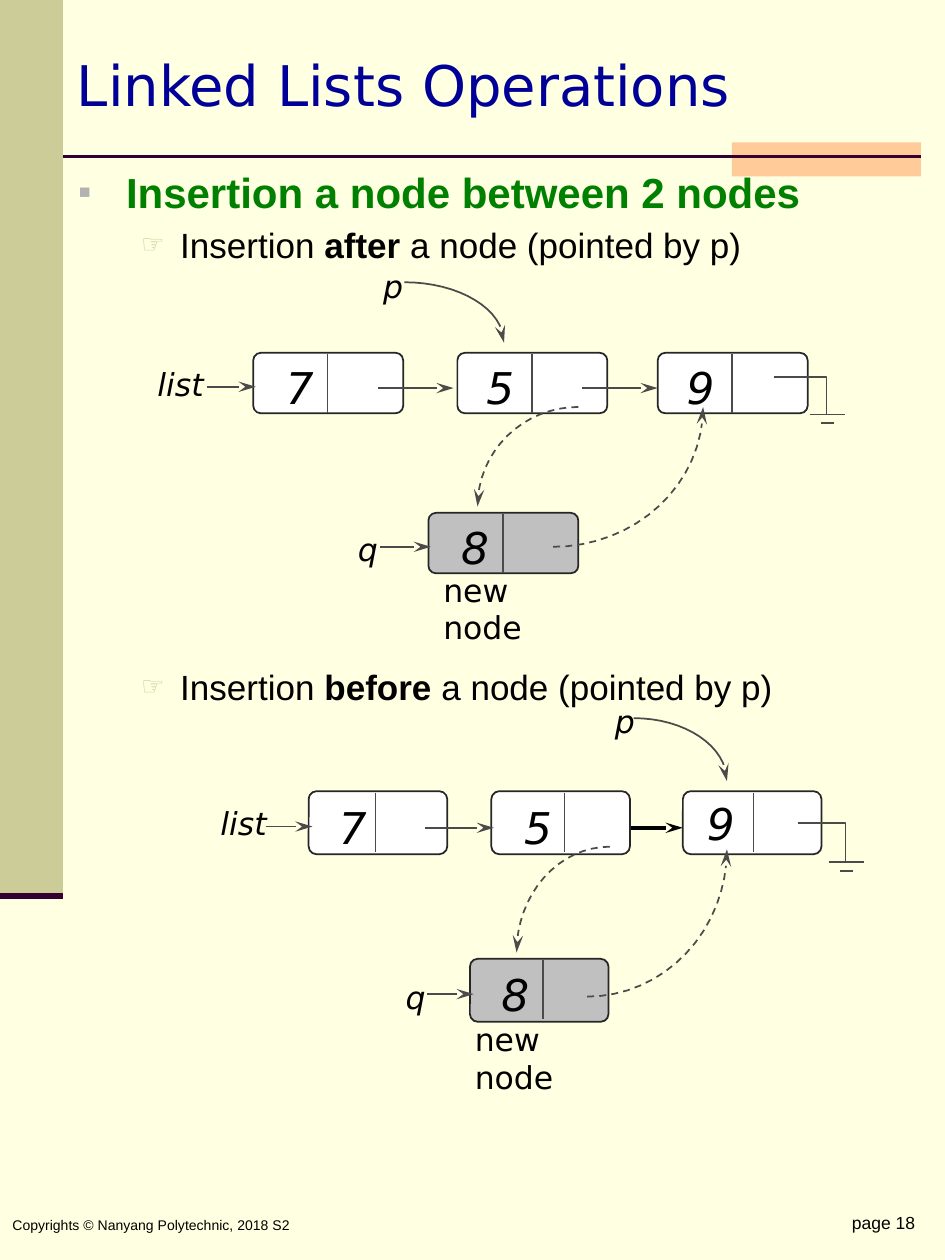
from dataclasses import dataclass
from math import cos, pi, sin

from lxml.etree import SubElement
from pptx import Presentation
from pptx.dml.color import RGBColor
from pptx.enum.dml import MSO_LINE_DASH_STYLE as Dash
from pptx.enum.shapes import MSO_CONNECTOR as Connector, MSO_SHAPE as Shape
from pptx.enum.text import MSO_ANCHOR as Anchor, MSO_AUTO_SIZE as AutoSize, PP_ALIGN as Align
from pptx.oxml.ns import qn
from pptx.util import Inches, Pt


@dataclass(frozen=True)
class Theme:
    """Colours, fonts and type sizes of the slide."""
    paper: str = "FFFFE1"
    band: str = "CCCC99"
    accent: str = "FFCC99"
    rule: str = "330033"
    title: str = "000099"
    heading: str = "008000"
    marker: str = "B2B2B2"
    ink: str = "000000"
    wire: str = "4B4B4B"
    edge: str = "262626"
    node: str = "FFFFFF"
    new_node: str = "C0C0C0"
    sans: str = "Arial"
    display: str = "DejaVu Sans"
    title_size: int = 32
    heading_size: int = 24
    item_size: int = 20
    digit_size: int = 25
    label_size: int = 18
    page_size: int = 10
    footer_size: int = 8


@dataclass(frozen=True)
class Diagram:
    """Places of the parts of one insertion diagram, in inches."""
    node_size: tuple
    nodes: tuple
    new_node: tuple
    links: tuple
    labels: tuple
    solid_arc: tuple
    dashed_arcs: tuple
    ground: tuple
    caption: tuple
    bold_link: tuple = ()


THEME = Theme()

AFTER = Diagram(
    node_size=(1.19, 0.48),
    nodes=(("7", 2.01, 2.8, 2.6, 2.27, 2.93), ("5", 3.63, 2.8, 4.22, 3.86, 2.93),
           ("9", 5.22, 2.8, 5.81, 5.45, 2.93)),
    new_node=("8", 3.4, 4.07, 3.99, 3.66, 4.2),
    links=((1.64, 2.03, 3.07), (3, 3.6, 3.08), (4.62, 5.22, 3.08), (3.02, 3.42, 4.34)),
    labels=(("list", 1.25, 2.91), ("q", 2.84, 4.22), ("p", 3.04, 2.13)),
    solid_arc=(3.21, 2.24, 4, 2.72),
    dashed_arcs=((4.39, 4.34, 5.58, 3.23), (4.59, 3.23, 3.79, 4.02)),
    ground=(6.14, 2.99, 6.56, 3.29),
    caption=(3.42, 4.48),
)

BEFORE = Diagram(
    node_size=(1.1, 0.5),
    nodes=(("7", 2.45, 6.28, 2.98, 2.69, 6.42), ("5", 3.9, 6.28, 4.48, 4.16, 6.42),
           ("9", 5.42, 6.28, 5.98, 5.61, 6.39)),
    new_node=("8", 3.73, 7.61, 4.31, 3.98, 7.75),
    links=((2.11, 2.48, 6.56), (3.37, 3.92, 6.57), (3.39, 3.76, 7.89)),
    labels=(("list", 1.75, 6.39), ("q", 3.22, 7.77), ("p", 4.88, 5.58)),
    solid_arc=(5.03, 5.7, 5.77, 6.2),
    dashed_arcs=((4.66, 7.91, 5.77, 6.74), (4.84, 6.72, 4.1, 7.56)),
    ground=(6.33, 6.53, 6.71, 6.84),
    caption=(3.67, 8.05),
    bold_link=(4.87, 5.42, 6.57),
)


def rgb(code):
    """Turn a hex code into a colour."""
    return RGBColor.from_string(code)


def style_font(font, size, color, name=THEME.sans, bold=False, italic=False):
    """Set every property of a font."""
    font.size, font.name, font.bold, font.italic = Pt(size), name, bold, italic
    font.color.rgb = rgb(color)


def style_line(line, color, width, arrow=False, dashed=False):
    """Set the stroke of an outline, with an optional end arrow."""
    line.color.rgb = rgb(color)
    line.width = Pt(width)
    if dashed:
        line.dash_style = Dash.DASH
    if arrow:
        SubElement(line._get_or_add_ln(), qn("a:tailEnd"), type="stealth", len="lg")


def add_line(slide, x1, y1, x2, y2, color=THEME.wire, width=1, arrow=False):
    """Draw a straight line."""
    line = slide.shapes.add_connector(Connector.STRAIGHT, *map(Inches, (x1, y1, x2, y2)))
    style_line(line.line, color, width, arrow)
    SubElement(line._element.spPr, qn("a:effectLst"))


def add_box(slide, kind, place, fill, edge=None):
    """Draw a filled preset shape."""
    box = slide.shapes.add_shape(kind, *map(Inches, place))
    box.shadow.inherit = False
    box.fill.solid()
    box.fill.fore_color.rgb = rgb(fill)
    if edge:
        style_line(box.line, edge, 1)
    else:
        box.line.fill.background()
    return box


def add_text(slide, text, place, size, name=THEME.sans, italic=False, inset=True,
             anchor=Anchor.TOP, align=Align.LEFT):
    """Write one paragraph in a text box."""
    frame = slide.shapes.add_textbox(*map(Inches, place)).text_frame
    frame.word_wrap = True
    frame.vertical_anchor = anchor
    if not inset:
        frame.margin_left = frame.margin_right = frame.margin_top = frame.margin_bottom = 0
    frame.text = text
    frame.paragraphs[0].alignment = align
    style_font(frame.paragraphs[0].runs[0].font, size, THEME.ink, name, italic=italic)


def add_path(slide, points, arrow=False, dashed=False):
    """Draw an open path through the points."""
    start, *rest = [tuple(map(Inches, point)) for point in points]
    builder = slide.shapes.build_freeform(*start)
    builder.add_line_segments(rest, close=False)
    path = builder.convert_to_shape()
    path.shadow.inherit = False
    path.fill.background()
    style_line(path.line, THEME.wire, 1, arrow, dashed)


def add_arc(slide, x1, y1, x2, y2, dashed=False, steps=16):
    """Draw a quarter ellipse that leaves level and arrives upright."""
    angles = [pi / 2 * step / steps for step in range(steps + 1)]
    points = [(x1 + (x2 - x1) * sin(a), y2 + (y1 - y2) * cos(a)) for a in angles]
    add_path(slide, points, arrow=True, dashed=dashed)


def add_node(slide, size, node, fill):
    """Draw a list node with its divider and digit."""
    digit, left, top, divider, digit_left, digit_top = node
    box = add_box(slide, Shape.ROUNDED_RECTANGLE, (left, top, *size), fill, THEME.edge)
    box.adjustments[0] = 0.125
    add_line(slide, divider, top + 0.01, divider, top + 0.48)
    add_text(slide, digit, (digit_left, digit_top, 0.2, 0.28), THEME.digit_size,
             THEME.display, italic=True, inset=False, anchor=Anchor.MIDDLE)


def add_ground(slide, x1, y1, x2, y2):
    """Draw the null mark that ends a list."""
    add_path(slide, [(x1, y1), (x2, y1), (x2, y2)])
    for half, y in ((0.14, y2), (0.05, y2 + 0.07)):
        add_line(slide, x2 + 0.01 - half, y, x2 + 0.01 + half, y)


def add_diagram(slide, diagram):
    """Draw a list with the node being inserted."""
    if diagram.bold_link:
        x1, x2, y = diagram.bold_link
        add_line(slide, x1, y, x2, y, THEME.ink, 2, arrow=True)
    for node in diagram.nodes:
        add_node(slide, diagram.node_size, node, THEME.node)
    add_node(slide, diagram.node_size, diagram.new_node, THEME.new_node)
    for x1, x2, y in diagram.links:
        add_line(slide, x1, y, x2, y, arrow=True)
    add_arc(slide, *diagram.solid_arc)
    for arc in diagram.dashed_arcs:
        add_arc(slide, *arc, dashed=True)
    for text, left, top in diagram.labels:
        width = 0.44 if text == "list" else 0.2
        add_text(slide, text, (left, top, width, 0.28), THEME.label_size, THEME.display,
                 italic=True, inset=False, anchor=Anchor.MIDDLE)
    add_ground(slide, *diagram.ground)
    add_text(slide, "new node", (*diagram.caption, 1.23, 0.34), THEME.label_size, THEME.display)


def place_frame(holder, place):
    """Move a placeholder and return its plain top-aligned text frame."""
    holder.left, holder.top, holder.width, holder.height = map(Inches, place)
    frame = holder.text_frame
    frame.auto_size = AutoSize.NONE
    frame.vertical_anchor = Anchor.TOP
    return frame


def add_item(paragraph, runs, level, bullet, space):
    """Fill a bulleted paragraph with (text, bold) runs."""
    mark, mark_color, mark_size, indent, hang = bullet
    paragraph.level = level
    props = paragraph._p.get_or_add_pPr()
    props.set("marL", str(Inches(indent)))
    props.set("indent", str(-Inches(hang)))
    paragraph.space_before = Pt(space)
    SubElement(SubElement(props, qn("a:buClr")), qn("a:srgbClr"), val=mark_color)
    SubElement(props, qn("a:buSzPct"), val=str(mark_size * 1000))
    SubElement(props, qn("a:buChar"), char=mark)
    size, color = ((THEME.item_size, THEME.ink) if level
                   else (THEME.heading_size, THEME.heading))
    for text, bold in runs:
        run = paragraph.add_run()
        run.text = text
        style_font(run.font, size, color, bold=bold)


def add_outline(slide):
    """Fill the title and the body list."""
    title = place_frame(slide.shapes.title, (0.51, 0.35, 6.61, 0.86))
    title.text = "Linked Lists Operations"
    title.paragraphs[0].alignment = Align.LEFT
    style_font(title.paragraphs[0].runs[0].font, THEME.title_size, THEME.title, THEME.display)

    body = place_frame(slide.placeholders[1], (0.52, 1.27, 6.6, 8.06))
    square = ("▪", THEME.marker, 90, 0.38, 0.38)
    hand = ("☞", THEME.band, 75, 0.81, 0.31)
    add_item(body.paragraphs[0], [("Insertion a node between 2 nodes", True)], 0, square, 0)
    for word, space in (("after", 3.8), ("before", 228.5)):
        runs = [("Insertion ", False), (word, True), (" a node (pointed by p)", False)]
        add_item(body.add_paragraph(), runs, 1, hand, space)


def add_decor(slide):
    """Draw the background, side band, rules and footer."""
    slide.background.fill.solid()
    slide.background.fill.fore_color.rgb = rgb(THEME.paper)
    add_box(slide, Shape.RECTANGLE, (0, 0, 0.5, 7.11), THEME.band)
    add_box(slide, Shape.RECTANGLE, (5.81, 1.13, 1.5, 0.27), THEME.accent)
    add_line(slide, 0.5, 1.24, 7.31, 1.24, THEME.rule, 1.5)
    add_line(slide, 0, 7.11, 0.5, 7.11, THEME.rule, 3.5)
    add_text(slide, "Copyrights © Nanyang Polytechnic, 2018 S2", (0, 9.44, 4.88, 0.56),
             THEME.footer_size, anchor=Anchor.MIDDLE)
    add_text(slide, "page 18", (5.25, 9.57, 2.11, 0.3), THEME.page_size, align=Align.RIGHT)


def main():
    """Build the slide and save it."""
    deck = Presentation()
    deck.slide_width, deck.slide_height = Inches(7.5), Inches(10)
    slide = deck.slides.add_slide(deck.slide_layouts[1])
    add_decor(slide)
    add_outline(slide)
    for diagram in (AFTER, BEFORE):
        add_diagram(slide, diagram)
    deck.save("out.pptx")


if __name__ == "__main__":
    main()
